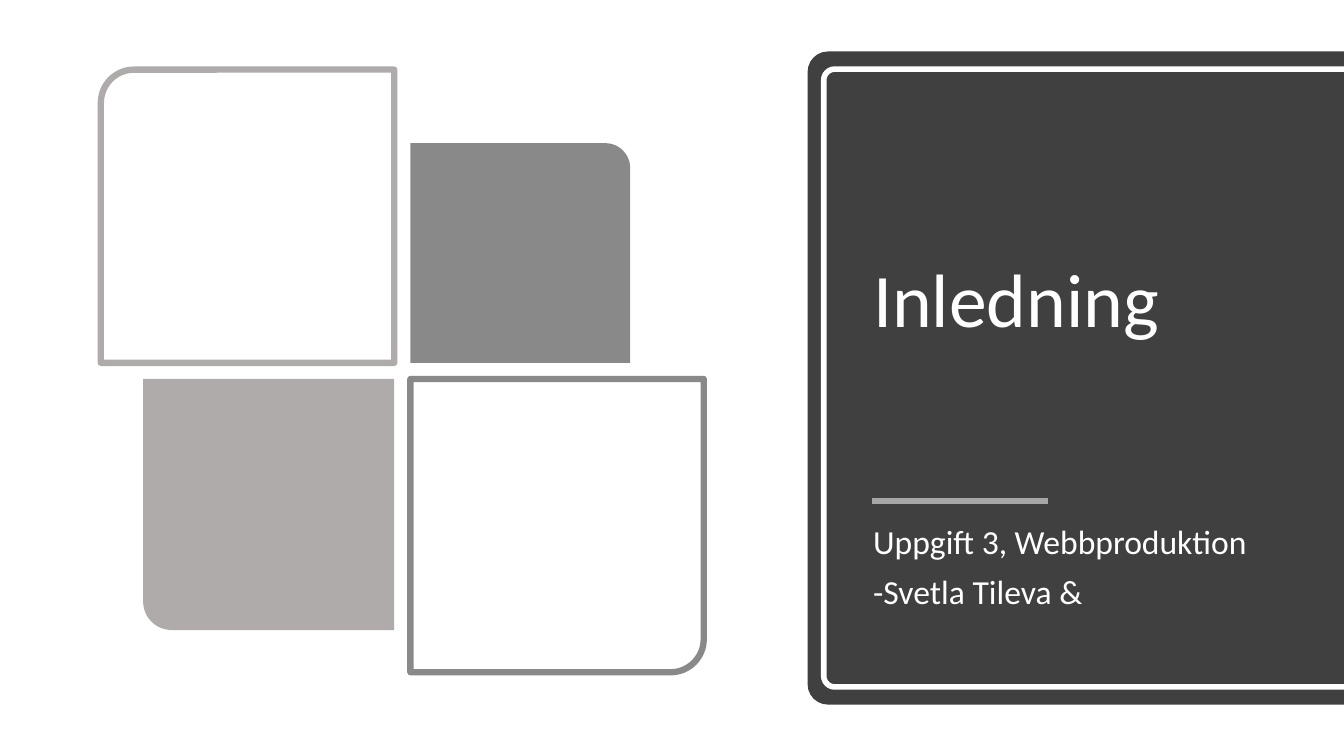
import pptx
import pptx.util
import pptx.dml.color
import pptx.enum.shapes
import pptx.enum.text
from lxml import etree

Inches, Pt = pptx.util.Inches, pptx.util.Pt
RGB = pptx.dml.color.RGBColor
KIND = pptx.enum.shapes.MSO_SHAPE
ANCHOR = pptx.enum.text.MSO_ANCHOR

WIDE, HIGH = 13.33, 7.5
WHITE = RGB(0xFF, 0xFF, 0xFF)
DARK = RGB(0x40, 0x40, 0x40)
GREY = RGB(0x89, 0x89, 0x89)
WARM = RGB(0xAF, 0xAB, 0xAB)
RULE = RGB(0xA6, 0xA6, 0xA6)

# Content
TITLE = ["Inledning"]
NOTES = ["Uppgift 3, Webbproduktion", "-Svetla Tileva &"]

# Tiles around one centre: column, row, size, turn, fill, line
MID, GAP = (3.99, 3.68), 0.08
TILES = [
    (0, 0, 2.91, 270, WHITE, WARM),
    (1, 0, 2.18, 0, GREY, None),
    (0, 1, 2.49, 180, WARM, None),
    (1, 1, 2.91, 90, WHITE, GREY),
]

# Panels lying on their side: left edge, width, height, corner, fill, line
PANELS = [
    (8.01, 5.32, 6.48, 0.038, DARK, None),
    (8.17, 5.2, 6.13, 0.021, None, WHITE),
]
LEFT, SPAN = 8.56, 4.34

deck = pptx.Presentation()
deck.slide_width, deck.slide_height = Inches(WIDE), Inches(HIGH)
slide = deck.slides.add_slide(deck.slide_layouts[0])
title, notes = slide.placeholders


def draw(kind, left, top, wide, high, corner, turn, fill, line, weight):
    shape = slide.shapes.add_shape(
        kind, Inches(left), Inches(top), Inches(wide), Inches(high))
    shape.shadow.inherit = False
    shape.adjustments[0] = corner
    shape.rotation = turn
    if fill is None:
        shape.fill.background()
    else:
        shape.fill.solid()
        shape.fill.fore_color.rgb = fill
    if line is None:
        shape.line.fill.background()
    else:
        shape.line.color.rgb = line
        shape.line.width = Pt(weight)
    return shape


def write(box, lines, top, high, size, anchor):
    box.left, box.top = Inches(LEFT), Inches(top)
    box.width, box.height = Inches(SPAN), Inches(high)
    frame = box.text_frame
    frame.text = "\n".join(lines)
    frame.word_wrap = True
    frame.auto_size = pptx.enum.text.MSO_AUTO_SIZE.NONE
    frame.vertical_anchor = anchor
    for row, para in enumerate(frame.paragraphs):
        para.alignment = pptx.enum.text.PP_ALIGN.LEFT
        para.line_spacing = 0.9
        para.space_before = Pt(10 if row else 0)
        for run in para.runs:
            run.font.name, run.font.size = "Calibri", Pt(size)
            run.font.color.rgb = WHITE


# Panels, set behind the text
for left, wide, high, corner, fill, line in PANELS:
    panel = draw(KIND.ROUND_2_SAME_RECTANGLE, left + (wide - high) / 2,
                 (HIGH - wide) / 2, high, wide, corner, 270, fill, line, 4)
    title.element.addprevious(panel.element)

# Tiles
for col, row, size, turn, fill, line in TILES:
    left, top = (mid + GAP if side else mid - GAP - size
                 for mid, side in zip(MID, (col, row)))
    draw(KIND.ROUND_1_RECTANGLE, left, top, size, size,
         0.113, turn, fill, line, 4.5)

# Title and subtitle
write(title, TITLE, 1.23, 3.55, 54, ANCHOR.MIDDLE)
write(notes, NOTES, 5.16, 1.36, 24, ANCHOR.TOP)

# Rule between them
rule = slide.shapes.add_connector(
    pptx.enum.shapes.MSO_CONNECTOR.STRAIGHT,
    Inches(8.65), Inches(4.97), Inches(10.39), Inches(4.97))
rule.line.color.rgb = RULE
rule.line.width = Pt(4)
etree.SubElement(
    rule.element.spPr,
    "{http://schemas.openxmlformats.org/drawingml/2006/main}effectLst")

deck.save("out.pptx")
